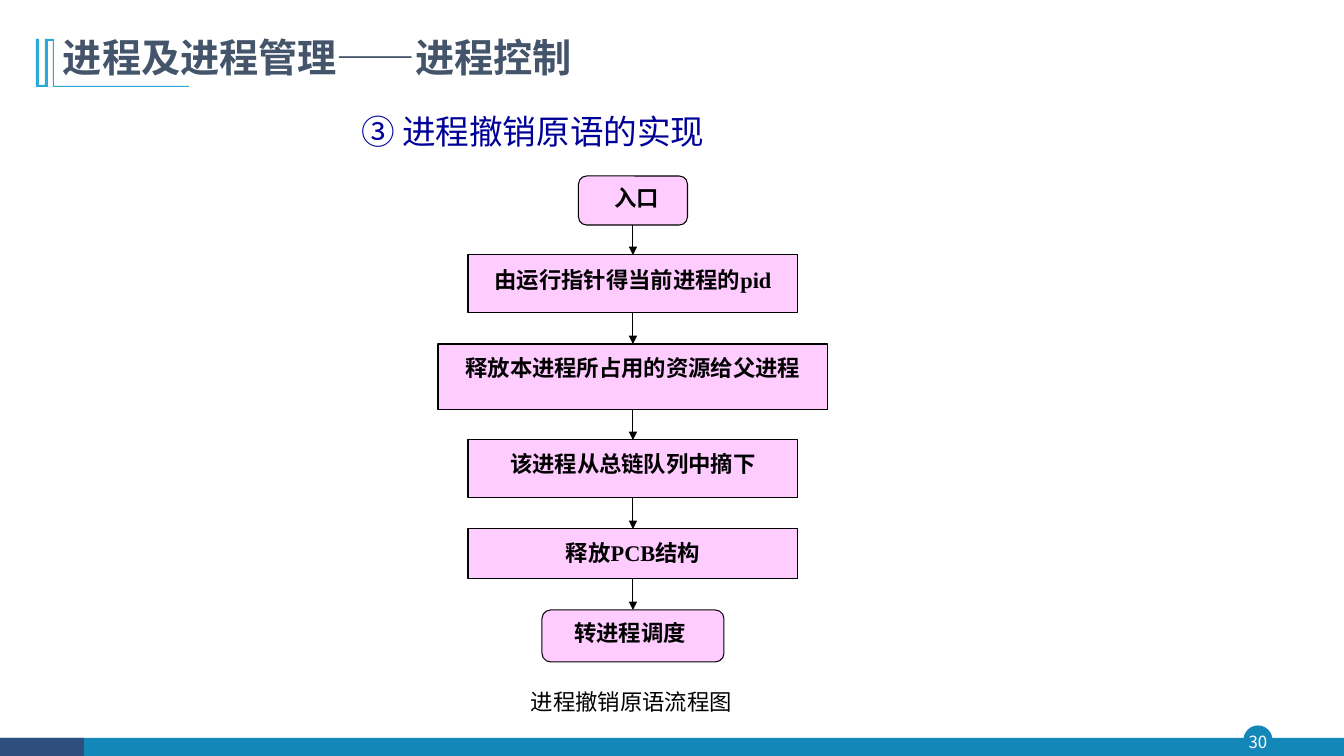
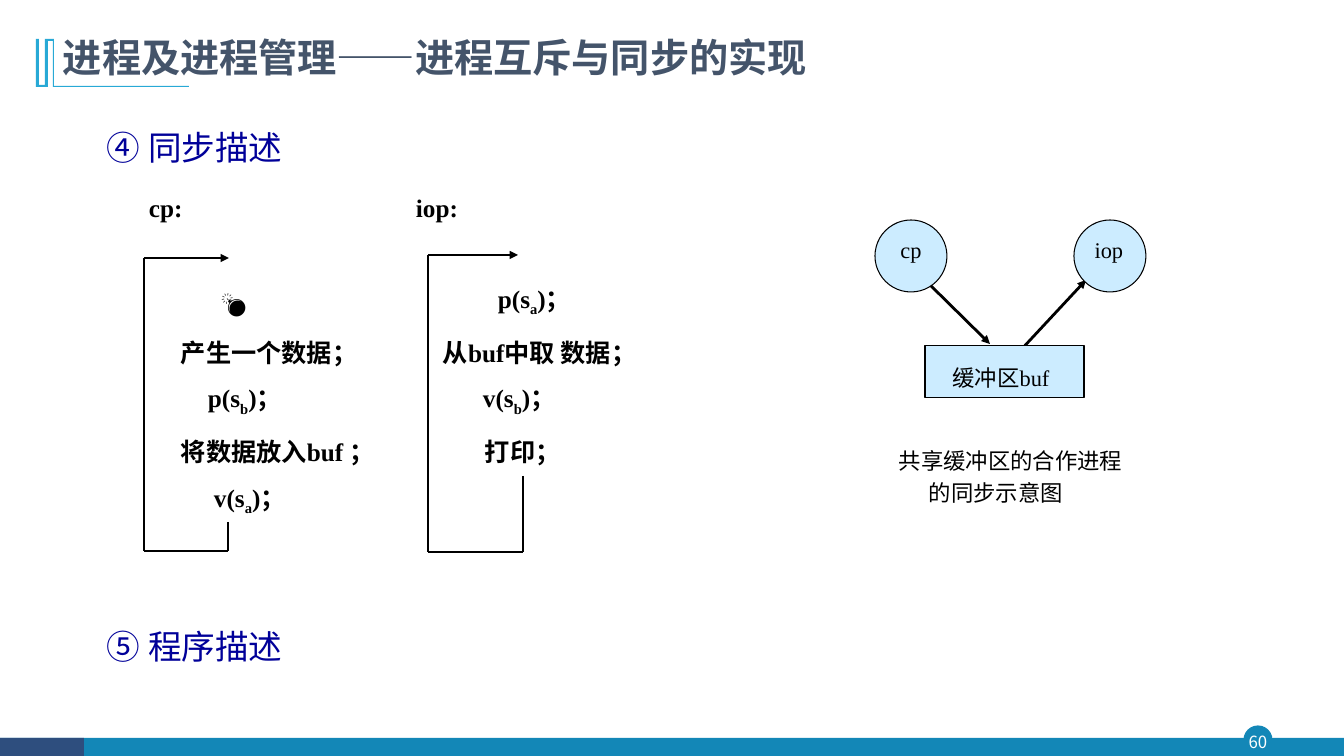
from itertools import pairwise

from lxml.etree import SubElement
from pptx import Presentation
from pptx.dml.color import RGBColor
from pptx.enum.shapes import MSO_CONNECTOR, MSO_SHAPE
from pptx.enum.text import MSO_ANCHOR, PP_ALIGN
from pptx.oxml.ns import qn
from pptx.util import Pt

PX = 914400 / 100.8
SANS, SERIF = "Noto Sans CJK SC", "Times New Roman"
BLACK, WHITE = "000000", "FFFFFF"
TEAL, NAVY, CYAN = "1387B7", "2E4E7E", "28A9D6"
TITLE_GREY, HEADING_BLUE = "44546A", "000099"
PINK, PALE_BLUE = "FFCCFF", "CCECFF"
color = RGBColor.from_string


def add_box(slide, box, lines=(), preset=None, fill=None, outline=None, size=16, ink=BLACK,
            bold=False, font=SERIF, align=PP_ALIGN.LEFT, insets=(0, 0, 0, 0), pitch=None):
    """Add a shape or text box; lines are (indent, text), where _ lowers the next letter."""
    place = [round(value * PX) for value in box]
    if preset is None:
        shape = slide.shapes.add_textbox(*place)
    else:
        shape = slide.shapes.add_shape(preset, *place)
        shape.shadow.inherit = False
        shape.fill.solid()
        shape.fill.fore_color.rgb = color(fill)
        if outline:
            shape.line.color.rgb = color(outline)
            shape.line.width = Pt(0.75)
        else:
            shape.line.fill.background()
    frame = shape.text_frame
    frame.word_wrap = True
    frame.vertical_anchor = MSO_ANCHOR.TOP if pitch else MSO_ANCHOR.MIDDLE
    frame.margin_left, frame.margin_top, frame.margin_right, frame.margin_bottom = [
        round(inset * PX) for inset in insets]
    for number, (indent, text) in enumerate(lines):
        paragraph = frame.add_paragraph() if number else frame.paragraphs[0]
        paragraph.alignment = align
        if pitch:
            paragraph.line_spacing = Pt(pitch)
        paragraph.font.size = Pt(size)
        paragraph.font.bold = bold
        paragraph.font.color.rgb = color(ink)
        paragraph.font.name = font
        SubElement(paragraph.font._rPr, qn("a:ea"), typeface=SANS)
        paragraph._p.pPr.set("marL", str(round(indent * PX)))
        start, *lowered = text.split("_")
        paragraph.add_run().text = start
        for part in lowered:
            subscript = paragraph.add_run()
            subscript.text = part[0]
            subscript.font._rPr.set("baseline", "-25000")
            paragraph.add_run().text = part[1:]
    return shape


def add_line(slide, start, end, width, arrow=False):
    points = [round(value * PX) for value in (*start, *end)]
    line = slide.shapes.add_connector(MSO_CONNECTOR.STRAIGHT, *points)
    line.line.color.rgb = color(BLACK)
    line.line.width = Pt(width)
    if arrow:
        SubElement(line.line._get_or_add_ln(), qn("a:tailEnd"), type="triangle")
    SubElement(line._element.spPr, qn("a:effectLst"))


presentation = Presentation()
presentation.slide_width = round(1344 * PX)
presentation.slide_height = round(756 * PX)

# Shared frame: footer band, page number, title mark and title
TITLE_MARK = [(54, 39), (54, 86), (189, 86), (189, 87), (53, 87), (53, 41), (48, 41), (48, 87),
              (36, 87), (36, 39), (39, 39), (39, 85), (45, 85), (45, 39)]
slides = []
for page, topic in (("30", "进程控制"), ("60", "进程互斥与同步的实现")):
    slide = presentation.slides.add_slide(presentation.slide_layouts[6])
    slides.append(slide)
    add_box(slide, (1244, 726, 28, 28), preset=MSO_SHAPE.OVAL, fill=TEAL, outline=TEAL)
    add_box(slide, (0, 738, 1344, 18), preset=MSO_SHAPE.RECTANGLE, fill=TEAL)
    add_box(slide, (0, 738, 84, 18), preset=MSO_SHAPE.RECTANGLE, fill=NAVY)
    add_box(slide, (1242, 726, 32, 31), [(0, page)], size=12, ink=WHITE, font=SANS,
            align=PP_ALIGN.CENTER)
    builder = slide.shapes.build_freeform(*TITLE_MARK[0], scale=PX)
    builder.add_line_segments(TITLE_MARK[1:])
    mark = builder.convert_to_shape()
    mark.shadow.inherit = False
    mark.fill.solid()
    mark.fill.fore_color.rgb = color(CYAN)
    mark.line.fill.background()
    add_box(slide, (63, 29, 1048, 56), [(0, "进程及进程管理——" + topic)], size=28,
            ink=TITLE_GREY, bold=True, font=SANS)
flow_slide, sync_slide = slides

# Headings: slide, left, middle, text
for slide, left, middle, text in (
        (flow_slide, 361, 131, "③ 进程撤销原语的实现"),
        (sync_slide, 107, 147, "④ 同步描述"),
        (sync_slide, 107, 646, "⑤ 程序描述")):
    add_box(slide, (left, middle - 25, 420, 50), [(0, text)], size=24, ink=HEADING_BLUE)

# Flowchart: text, preset, width, top, height, insets
ROUND, RECT = MSO_SHAPE.ROUNDED_RECTANGLE, MSO_SHAPE.RECTANGLE
FLOW_CENTER = 633
steps = [
    ("入口", ROUND, 109, 176, 49, (7, 0, 0, 6)),
    ("由运行指针得当前进程的pid", RECT, 330, 255, 58, (0, 0, 0, 8)),
    ("释放本进程所占用的资源给父进程", RECT, 390, 344, 66, (0, 0, 0, 18)),
    ("该进程从总链队列中摘下", RECT, 330, 440, 58, (0, 0, 0, 10)),
    ("释放PCB结构", RECT, 330, 529, 50, (0, 0, 0, 2)),
    ("转进程调度", ROUND, 182, 610, 52, (0, 0, 6, 6)),
]
for text, preset, width, top, height, insets in steps:
    add_box(flow_slide, (FLOW_CENTER - width / 2, top, width, height), [(0, text)], preset, PINK,
            BLACK, bold=True, align=PP_ALIGN.CENTER, insets=insets)
for upper, lower in pairwise(steps):
    add_line(flow_slide, (FLOW_CENTER, upper[3] + upper[4]), (FLOW_CENTER, lower[3]), 0.75, True)
add_box(flow_slide, (531, 682, 230, 40), [(0, "进程撤销原语流程图")])

# Process listings: left, top, name, lines, then the loop from its tail to its arrowhead
listings = [
    (149, 268, "cp:",
     [(72, "💣"), (32, "产生一个数据；"), (59, "p(s_b)；"), (32, "将数据放入buf ；"),
      (65, "v(s_a)；")],
     [(228, 522), (228, 551), (144, 551), (144, 258), (229, 258)]),
    (416, 268, "iop:",
     [(82, "p(s_a)；"), (27, "从buf中取 数据；"), (67, "v(s_b)；"), (69, "打印；")],
     [(523, 476), (523, 552), (428, 552), (428, 255), (518, 255)]),
]
for left, top, name, lines, loop in listings:
    add_box(sync_slide, (left, 187, 100, 40), [(0, name)], size=18, bold=True)
    add_box(sync_slide, (left, top, 260, 250), lines, size=18, bold=True, pitch=35.5)
    for start, end in pairwise(loop):
        add_line(sync_slide, start, end, 1, arrow=end == loop[-1])

# Shared buffer diagram
add_line(sync_slide, (1019, 352), (1086, 280), 2, True)
add_line(sync_slide, (922, 277), (990, 344), 2, True)
for text, preset, box, insets in (
        ("缓冲区buf", RECT, (925, 346, 159, 52), (0, 11, 7, 0)),
        ("iop", MSO_SHAPE.OVAL, (1074, 220, 72, 72), (0, 0, 2, 12)),
        ("cp", MSO_SHAPE.OVAL, (875, 220, 72, 72), (0, 0, 0, 12))):
    add_box(sync_slide, box, [(0, text)], preset, PALE_BLUE, BLACK, align=PP_ALIGN.CENTER,
            insets=insets)
add_box(sync_slide, (899, 442, 240, 70), [(0, "共享缓冲区的合作进程"), (30, "的同步示意图")],
        pitch=23)

presentation.save("out.pptx")
